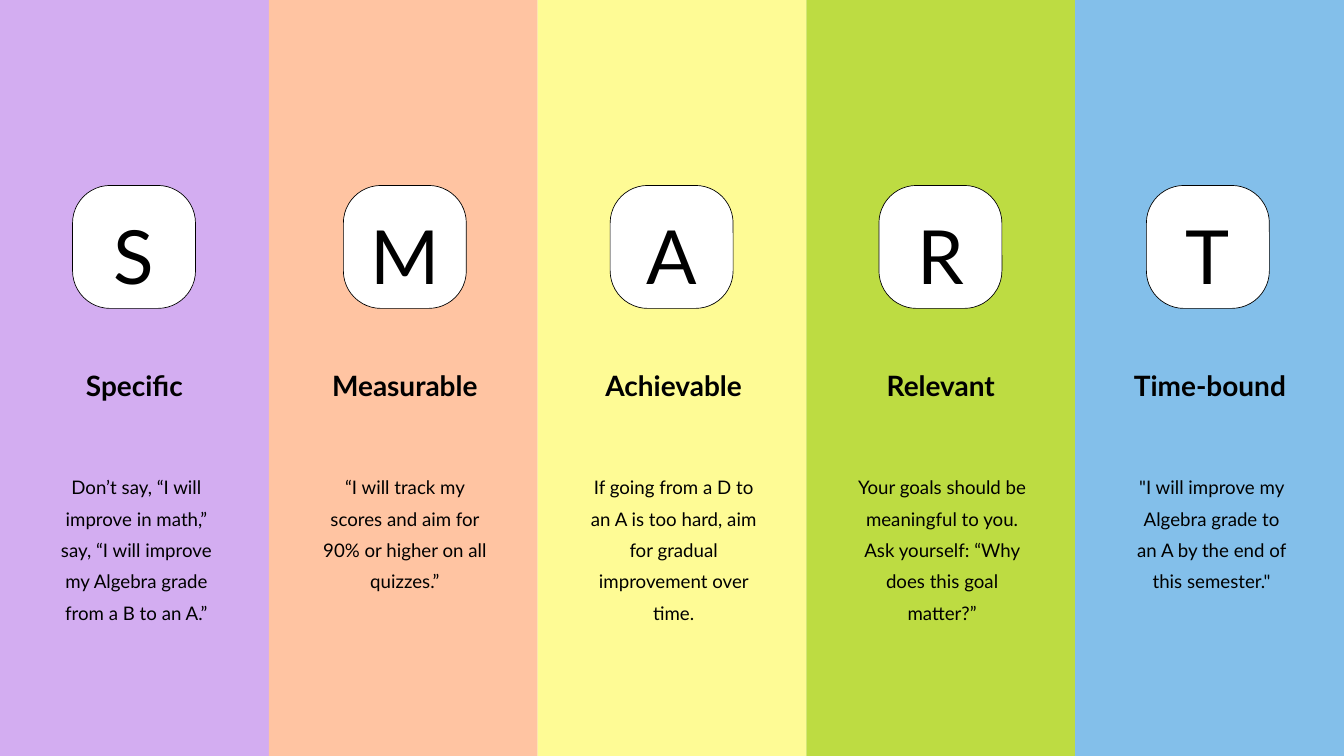
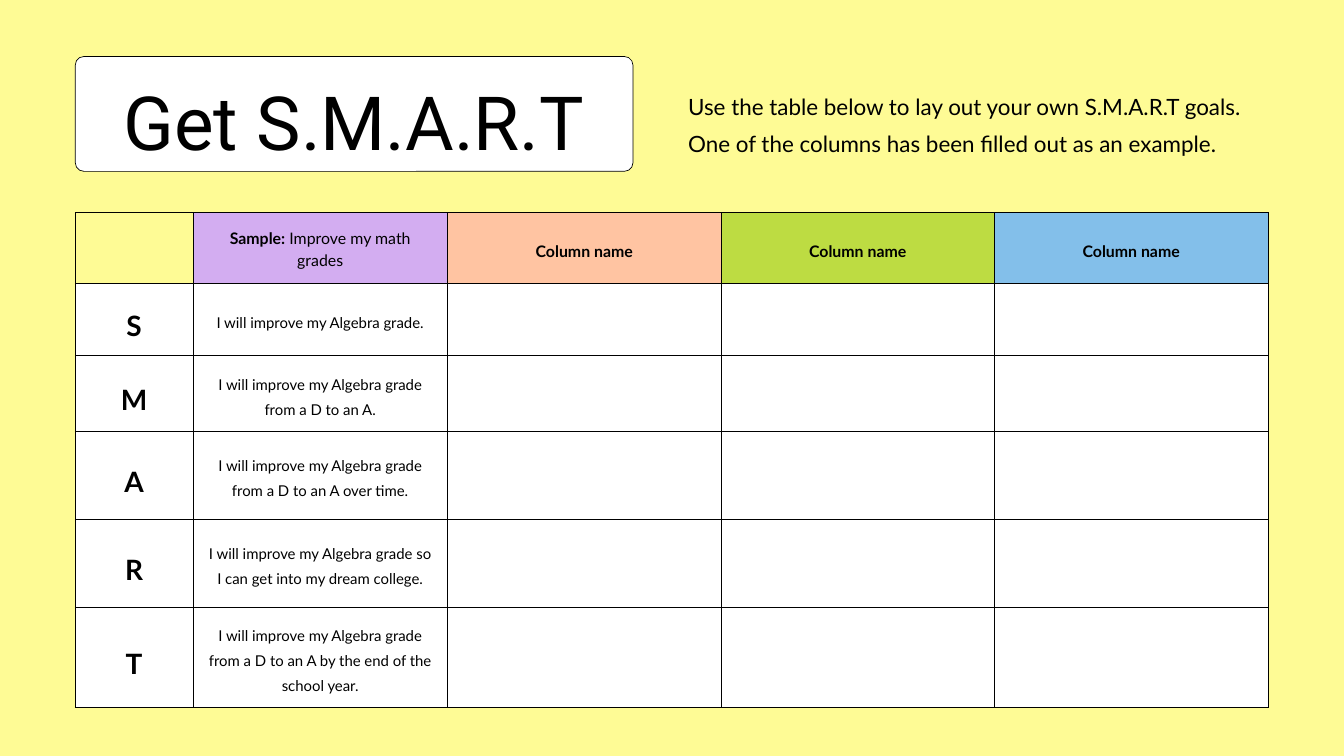
from lxml import etree
from pptx import Presentation
from pptx.dml.color import RGBColor
from pptx.enum import shapes, text
from pptx.oxml import ns
from pptx.util import Inches, Pt

COLORS = {
    "purple": "D3ADF1", "peach": "FFC4A2", "yellow": "FEFB95",
    "green": "BDDC42", "blue": "83BFEA", "white": "FFFFFF", "black": "000000",
}
BODY_FONT, TITLE_FONT = "Lato", "Roboto"
TITLE_ONLY, BLANK = 5, 6

# letter, colour, tile left, heading (text, left, width), advice (text, left, width)
GOALS = [
    ("S", "purple", 1.08, ("Specific", 0.87, 2.26),
     ("Don’t say, “I will improve in math,” say, “I will improve my Algebra "
      "grade from a B to an A.”", 0.81, 2.44)),
    ("M", "peach", 5.11, ("Measurable", 4.61, 2.83),
     ("“I will track my scores and aim for 90% or higher on all quizzes.”",
      4.8, 2.45)),
    ("A", "yellow", 9.08, ("Achievable", 8.66, 2.73),
     ("If going from a D to an A is too hard, aim for gradual improvement "
      "over time.", 8.77, 2.51)),
    ("R", "green", 13.08, ("Relevant", 12.69, 2.62),
     ("Your goals should be meaningful to you. Ask yourself: “Why does this "
      "goal matter?”", 12.72, 2.6)),
    ("T", "blue", 17.06, ("Time-bound", 16.55, 2.91),
     ("\"I will improve my Algebra grade to an A by the end of this "
      "semester.\"", 16.86, 2.34)),
]
BAND_EDGES = [-0.25, 4, 8, 12, 16, 20.19]

SAMPLE_ROWS = [
    ("S", "I will improve my Algebra grade."),
    ("M", "I will improve my Algebra grade from a D to an A."),
    ("A", "I will improve my Algebra grade from a D to an A over time."),
    ("R", "I will improve my Algebra grade so I can get into my dream college."),
    ("T", "I will improve my Algebra grade from a D to an A by the end of the "
          "school year."),
]
COLUMN_WIDTHS = [1.75, 3.79, 4.07, 4.07, 4.07]
ROW_HEIGHTS = [1.05, 1.02, 1.02, 1.31, 1.31, 1.31]


def rgb(name):
    return RGBColor.from_string(COLORS[name])


class Deck:
    def __init__(self):
        self.presentation = Presentation()
        self.presentation.slide_width = Inches(20)
        self.presentation.slide_height = Inches(11.25)
        self.slide = None

    def new_slide(self, layout, background):
        layouts = self.presentation.slide_layouts
        self.slide = self.presentation.slides.add_slide(layouts[layout])
        fill = self.slide.background.fill
        fill.solid()
        fill.fore_color.rgb = rgb(background)

    def set_text(self, frame, runs, size, font=BODY_FONT, bold=False, spacing=1.4,
                 align=text.PP_ALIGN.CENTER):
        """Fill one paragraph; runs is a string or a list of (text, bold) pairs."""
        paragraph = frame.paragraphs[0]
        paragraph.alignment = align
        paragraph.line_spacing = spacing
        paragraph.font.name = font
        paragraph.font.size = Pt(size)
        paragraph.font.color.rgb = rgb("black")
        if isinstance(runs, str):
            paragraph.font.bold = bold
            paragraph.add_run().text = runs
        else:
            for words, run_bold in runs:
                run = paragraph.add_run()
                run.text = words
                run.font.bold = run_bold

    def set_frame(self, frame, margin, anchor):
        frame.word_wrap = True
        frame.auto_size = text.MSO_AUTO_SIZE.NONE
        frame.vertical_anchor = anchor
        frame.margin_left = frame.margin_right = Inches(margin)
        frame.margin_top = frame.margin_bottom = Inches(margin)

    def text_box(self, words, left, top, width, height, size, margin=0,
                 anchor=text.MSO_ANCHOR.TOP, **style):
        box = self.slide.shapes.add_textbox(
            Inches(left), Inches(top), Inches(width), Inches(height))
        self.set_frame(box.text_frame, margin, anchor)
        self.set_text(box.text_frame, words, size, **style)

    def panel(self, left, top, width, height, color, radius=0):
        """Draw a plain band, or an outlined rounded card if radius is given."""
        kind = shapes.MSO_SHAPE.ROUNDED_RECTANGLE if radius else shapes.MSO_SHAPE.RECTANGLE
        shape = self.slide.shapes.add_shape(
            kind, Inches(left), Inches(top), Inches(width), Inches(height))
        shape.shadow.inherit = False
        shape.fill.solid()
        shape.fill.fore_color.rgb = rgb(color)
        if radius:
            shape.adjustments[0] = radius / min(width, height)
            shape.line.color.rgb = rgb("black")
            shape.line.width = Pt(0.75)
        else:
            shape.line.fill.background()
        return shape

    def title_card(self, words, left, top, width, height):
        card = self.panel(left, top, width, height, "white", radius=0.13)
        title = self.slide.shapes.title
        card.element.addnext(title.element)
        title.left, title.top = Inches(left), Inches(top - 0.15)
        title.width, title.height = Inches(width), Inches(height + 0.15)
        self.set_frame(title.text_frame, 0.06, text.MSO_ANCHOR.MIDDLE)
        self.set_text(title.text_frame, words, 80, font=TITLE_FONT, spacing=1.26)

    def table(self, left, top, widths, heights):
        table = self.slide.shapes.add_table(
            len(heights), len(widths), Inches(left), Inches(top),
            Inches(sum(widths)), Inches(sum(heights))).table
        table.first_row = table.horz_banding = False
        for column, width in zip(table.columns, widths):
            column.width = Inches(width)
        for row, height in zip(table.rows, heights):
            row.height = Inches(height)
        for cell in table.iter_cells():
            self.cell_border(cell)
        return table

    def cell_border(self, cell):
        properties = cell._tc.get_or_add_tcPr()
        for side in ("lnL", "lnR", "lnT", "lnB"):
            line = etree.SubElement(properties, ns.qn(f"a:{side}"), w=str(Pt(0.75)))
            fill = etree.SubElement(line, ns.qn("a:solidFill"))
            etree.SubElement(fill, ns.qn("a:srgbClr"), val=COLORS["black"])

    def cell(self, cell, color, words=None, size=16, **style):
        cell.fill.solid()
        cell.fill.fore_color.rgb = rgb(color)
        if words:
            cell.vertical_anchor = text.MSO_ANCHOR.MIDDLE
            cell.margin_left = cell.margin_right = Inches(0.19)
            cell.margin_top = cell.margin_bottom = Inches(0.19)
            self.set_text(cell.text_frame, words, size, **style)


def smart_columns(deck):
    deck.new_slide(BLANK, "white")
    for goal, left, right in zip(GOALS, BAND_EDGES, BAND_EDGES[1:]):
        deck.panel(left, -0.2, right - left, 11.72, goal[1])
    for letter, _, tile_left, heading, advice in GOALS:
        deck.panel(tile_left, 2.76, 1.83, 1.83, "white", radius=0.56)
        deck.text_box(letter, tile_left, 2.72, 1.83, 1.86, 80, margin=0.06,
                      anchor=text.MSO_ANCHOR.MIDDLE, spacing=1.2)
        words, left, width = heading
        deck.text_box(words, left, 5.28, width, 0.57, 30, bold=True)
        words, left, width = advice
        deck.text_box(words, left, 6.95, width, 1.92, 20)


def goal_table(deck):
    deck.new_slide(TITLE_ONLY, "yellow")
    table = deck.table(1.12, 3.16, COLUMN_WIDTHS, ROW_HEIGHTS)
    table.cell(0, 0).fill.background()
    deck.cell(table.cell(0, 1), "purple",
              [("Sample:", True), (" Improve my math grades", False)], 17, spacing=1.15)
    for column, color in enumerate(("peach", "green", "blue"), 2):
        deck.cell(table.cell(0, column), color, "Column name", 17, bold=True)
    for row, (letter, sample) in enumerate(SAMPLE_ROWS, 1):
        deck.cell(table.cell(row, 0), "white", letter, 30, bold=True)
        deck.cell(table.cell(row, 1), "white", sample)
        for column in range(2, len(COLUMN_WIDTHS)):
            deck.cell(table.cell(row, column), "white")
    deck.text_box("Use the table below to lay out your own S.M.A.R.T goals. One of "
                  "the columns has been filled out as an example.",
                  10.24, 1.22, 8.63, 0.9, 24, align=text.PP_ALIGN.LEFT)
    deck.title_card("Get S.M.A.R.T", 1.12, 0.84, 8.3, 1.71)


def main():
    deck = Deck()
    smart_columns(deck)
    goal_table(deck)
    deck.presentation.save("out.pptx")


if __name__ == "__main__":
    main()
